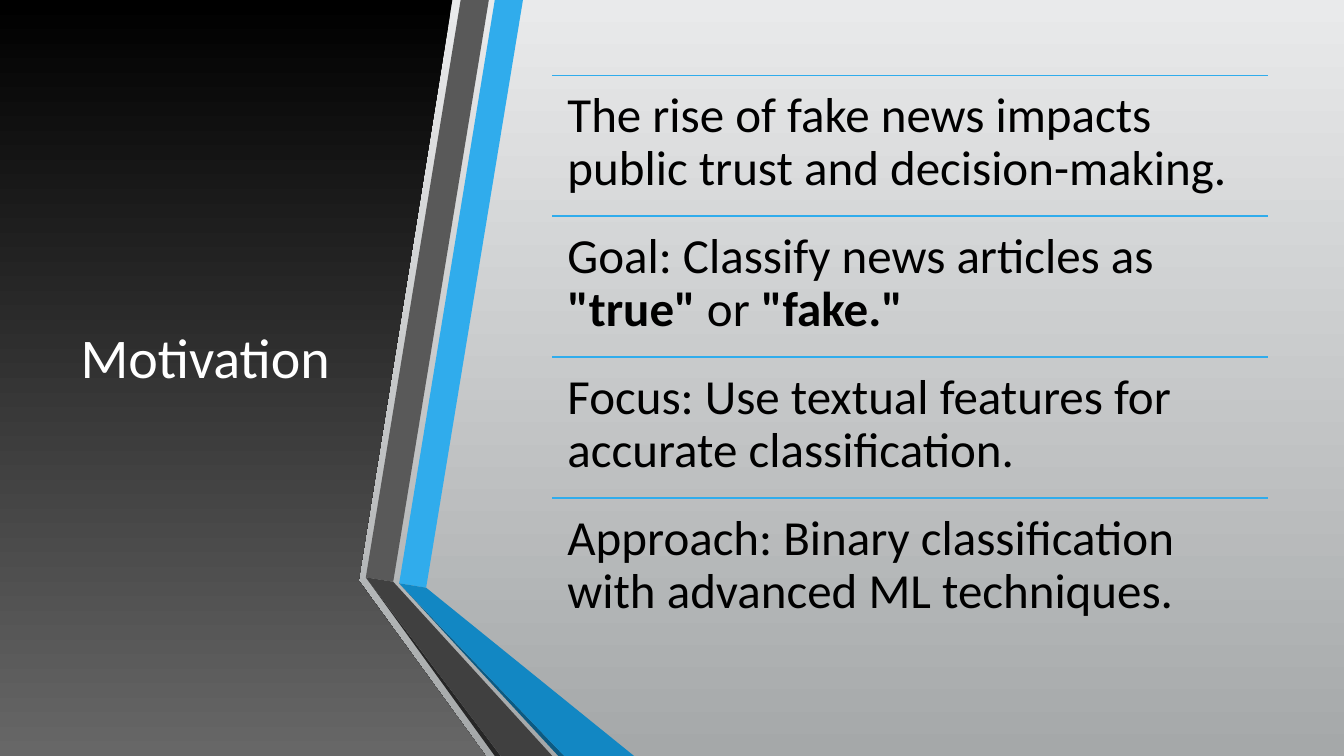
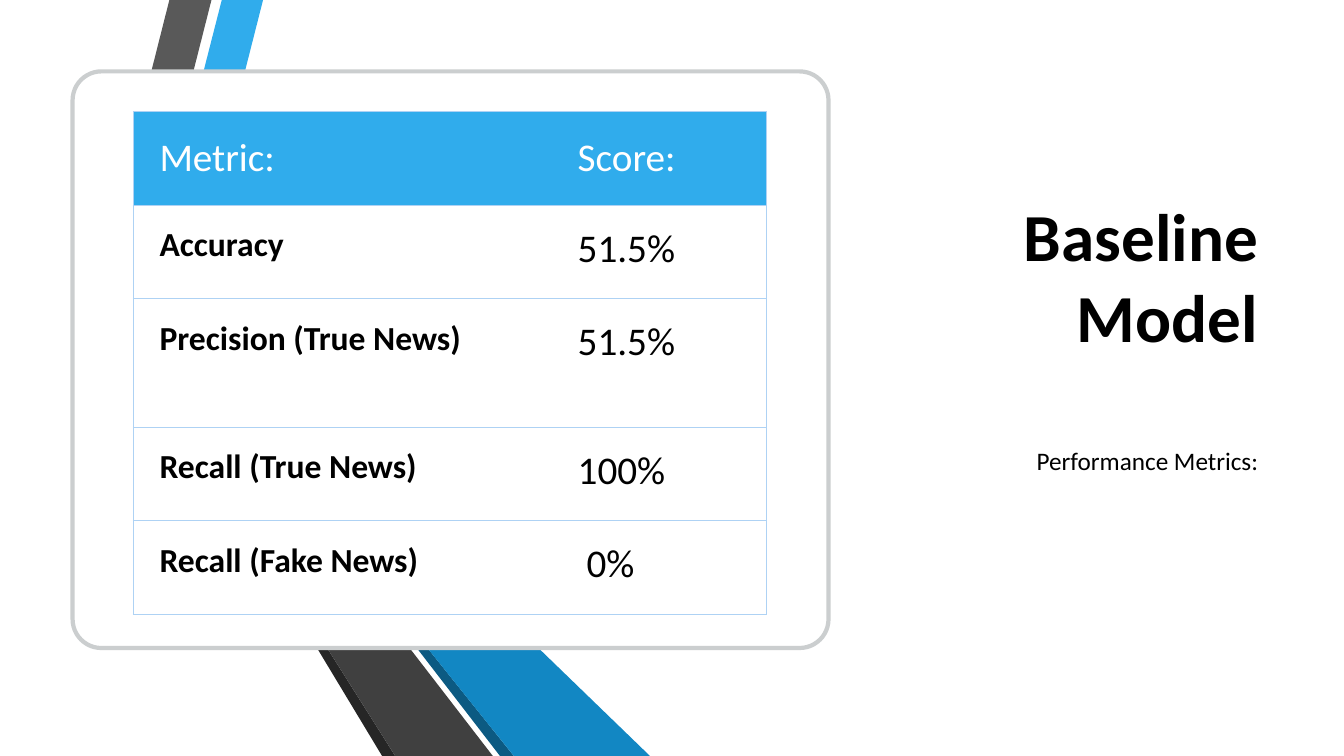
from pptx import Presentation
from pptx.dml.color import RGBColor
from pptx.enum.shapes import MSO_CONNECTOR, MSO_SHAPE
from pptx.enum.text import MSO_ANCHOR, MSO_AUTO_SIZE, PP_ALIGN
from pptx.oxml import parse_xml
from pptx.oxml.ns import nsdecls
from pptx.util import Cm, Pt

TOP, MIDDLE, BOTTOM = MSO_ANCHOR.TOP, MSO_ANCHOR.MIDDLE, MSO_ANCHOR.BOTTOM
LEFT, CENTER, RIGHT = PP_ALIGN.LEFT, PP_ALIGN.CENTER, PP_ALIGN.RIGHT
NO_FIT = MSO_AUTO_SIZE.NONE
STRAIGHT = MSO_CONNECTOR.STRAIGHT
ROUNDED = MSO_SHAPE.ROUNDED_RECTANGLE
TITLE_ONLY = 5

WIDE, HIGH = 33.87, 19.05
FONT = "Calibri"
BLACK, WHITE, BLUE = "000000", "FFFFFF", "30ACEC"
PALE, RULE, FRAME = ("E9EAEB", "A5A8A9"), "AED2F4", "CBCECF"
GREY_BAND = ("595959", "404040", "262626")
BLUE_BAND = (BLUE, "1287C3", "0C5A82")


def hue(code):
    return RGBColor.from_string(code)


def put(item, values):
    for name, value in values.items():
        setattr(item, name, value)


def paint(fill, code):
    """Fill with one colour, or with a pair running from top to bottom."""
    if isinstance(code, str):
        fill.solid()
        fill.fore_color.rgb = hue(code)
        return
    fill.gradient()
    fill.gradient_angle = 270
    for stop, part in zip(fill.gradient_stops, code):
        stop.color.rgb = hue(part)


class Deck:
    def __init__(self):
        self.prs = Presentation()
        put(self.prs, {"slide_width": Cm(WIDE), "slide_height": Cm(HIGH)})
        self.slide = None

    def page(self, back):
        layout = self.prs.slide_layouts[TITLE_ONLY]
        self.slide = self.prs.slides.add_slide(layout)
        paint(self.slide.background.fill, back)

    def words(self, frame, parts, size, color=BLACK, align=LEFT, bold=False,
              line=1.0):
        """Set one paragraph; every second part has the other weight."""
        para = frame.paragraphs[0]
        put(para, {"alignment": align, "line_spacing": line})
        for i, part in enumerate(parts):
            run = para.add_run()
            run.text = part
            put(run.font, {"name": FONT, "size": Pt(size),
                           "bold": bold != bool(i % 2)})
            run.font.color.rgb = hue(color)

    def title(self, text, box, anchor, **style):
        shape = self.slide.shapes.title
        shape.element.getparent().append(shape.element)
        put(shape, dict(zip(("left", "top", "width", "height"),
                            map(Cm, box))))
        put(shape.text_frame, {"word_wrap": True, "auto_size": NO_FIT,
                               "vertical_anchor": anchor})
        self.words(shape.text_frame, [text], **style)

    def text(self, parts, box, pad=None, **style):
        frame = self.slide.shapes.add_textbox(*map(Cm, box)).text_frame
        put(frame, {"word_wrap": True, "vertical_anchor": TOP})
        if pad:
            put(frame, {"margin_" + side: Cm(pad)
                        for side in ("left", "top", "right", "bottom")})
        self.words(frame, parts, **style)

    def shape(self, points, color):
        first, *rest = [(Cm(x), Cm(y)) for x, y in points]
        pen = self.slide.shapes.build_freeform(*first, scale=1.0)
        pen.add_line_segments(rest, close=True)
        form = pen.convert_to_shape()
        form.shadow.inherit = False
        form.line.fill.background()
        paint(form.fill, color)

    def ribbon(self, tops, bends, feet):
        """Draw a grey and a blue band, each falling to a bend and a foot."""
        for i, (main, low, edge) in enumerate((GREY_BAND, BLUE_BAND)):
            start, end = ((x, 0) for x in tops[2 * i:2 * i + 2])
            near, far = bends[2 * i:2 * i + 2]
            x, y, z = sorted(feet[i])
            out, mid, back = (x, HIGH), (y, HIGH), (z, HIGH)
            self.shape((start, end, far, near), main)
            self.shape((near, out, mid), edge)
            self.shape((near, far, back, mid), low)

    def rule(self, left, top, width):
        line = self.slide.shapes.add_connector(
            STRAIGHT, Cm(left), Cm(top), Cm(left + width), Cm(top))
        line.line.color.rgb = hue(BLUE)
        line.line.width = Pt(1.25)
        line.element.spPr.append(
            parse_xml("<a:effectLst %s/>" % nsdecls("a")))

    def card(self, box):
        card = self.slide.shapes.add_shape(ROUNDED, *map(Cm, box))
        card.shadow.inherit = False
        card.adjustments[0] = 0.05
        paint(card.fill, WHITE)
        card.line.color.rgb = hue(FRAME)
        card.line.width = Pt(3)

    def edge(self, cell, sides):
        """Rule the named sides of a cell and clear the others."""
        props = cell._tc.get_or_add_tcPr()
        solid = '<a:solidFill><a:srgbClr val="%s"/></a:solidFill>' % RULE
        for i, side in enumerate("LRTB"):
            ink = solid if side in sides else "<a:noFill/>"
            props.insert(i, parse_xml('<a:ln%s %s w="9525">%s</a:ln%s>' % (
                side, nsdecls("a"), ink, side)))

    def table(self, rows, left, top, widths, heights):
        box = map(Cm, (left, top, sum(widths), sum(heights)))
        grid = self.slide.shapes.add_table(
            len(rows), len(widths), *box).table
        for col, width in zip(grid.columns, widths):
            col.width = Cm(width)
        for row, height in zip(grid.rows, heights):
            row.height = Cm(height)
        for r, row in enumerate(rows):
            for c, text in enumerate(row):
                cell, head = grid.cell(r, c), r == 0
                label = c == 0 and not head
                put(cell, {"margin_left": Cm(0.66), "margin_right": Cm(1.45),
                           "margin_top": Cm(0.5), "margin_bottom": Cm(0.5),
                           "vertical_anchor": MIDDLE if head else TOP})
                paint(cell.fill, BLUE if head else WHITE)
                self.edge(cell, "TB" + "LR"[c])
                self.words(cell.text_frame, [text], 24 if label else 28,
                           WHITE if head else BLACK, bold=label)


def motive(deck):
    deck.page(PALE)
    deck.shape(((0, 0), (11.4, 0), (9.04, 14.63), (12.24, HIGH), (0, HIGH)),
               (BLACK, "676767"))
    deck.title("Motivation", (1.5, 1.9, 7.34, 14.17), MIDDLE,
               size=40, color=WHITE, align=CENTER)
    deck.ribbon((11.61, 12.32, 12.47, 13.18),
                ((9.22, 14.55), (9.91, 14.66), (10.06, 14.7), (10.74, 14.81)),
                ((12.47, 12.62, 13.92), (14.07, 14.22, 15.98)))
    points = (
        ["The rise of fake news impacts public trust and decision-making."],
        ["Goal: Classify news articles as ", '"true"', " or ", '"fake."'],
        ["Focus: Use textual features for accurate classification."],
        ["Approach: Binary classification with advanced ML techniques."],
    )
    left, top, width, step = 13.92, 1.9, 18.03, 3.55
    for i, parts in enumerate(points):
        y = top + i * step
        deck.rule(left, y, width)
        deck.text(parts, (left, y, width, step), pad=0.38, size=35, line=0.9)


def scores(deck):
    deck.page(WHITE)
    deck.title("Baseline Model", (22.33, 1.8, 9.63, 7.3), BOTTOM,
               size=48, align=RIGHT, bold=True)
    deck.text(["Performance Metrics:"], (22.33, 11.1, 9.63, 5.23),
              size=18, align=RIGHT)
    deck.ribbon((4.27, 5.33, 5.59, 6.63),
                ((2.46, 7.16), (3.45, 7.42), (3.68, 7.47), (4.67, 7.72)),
                ((9.63, 9.96, 12.42), (12.6, 12.95, 16.38)))
    deck.card((1.83, 1.8, 19.05, 14.53))
    rows = (("Metric:", "Score:"),
            ("Accuracy", "51.5%"),
            ("Precision (True News)", "51.5%"),
            ("Recall (True News)", "100%"),
            ("Recall (Fake News)", " 0%"))
    deck.table(rows, 3.36, 2.81, (10.54, 5.41),
               (2.36, 2.36, 3.23, 2.36, 2.36))


def main():
    deck = Deck()
    motive(deck)
    scores(deck)
    deck.prs.save("out.pptx")


if __name__ == "__main__":
    main()
